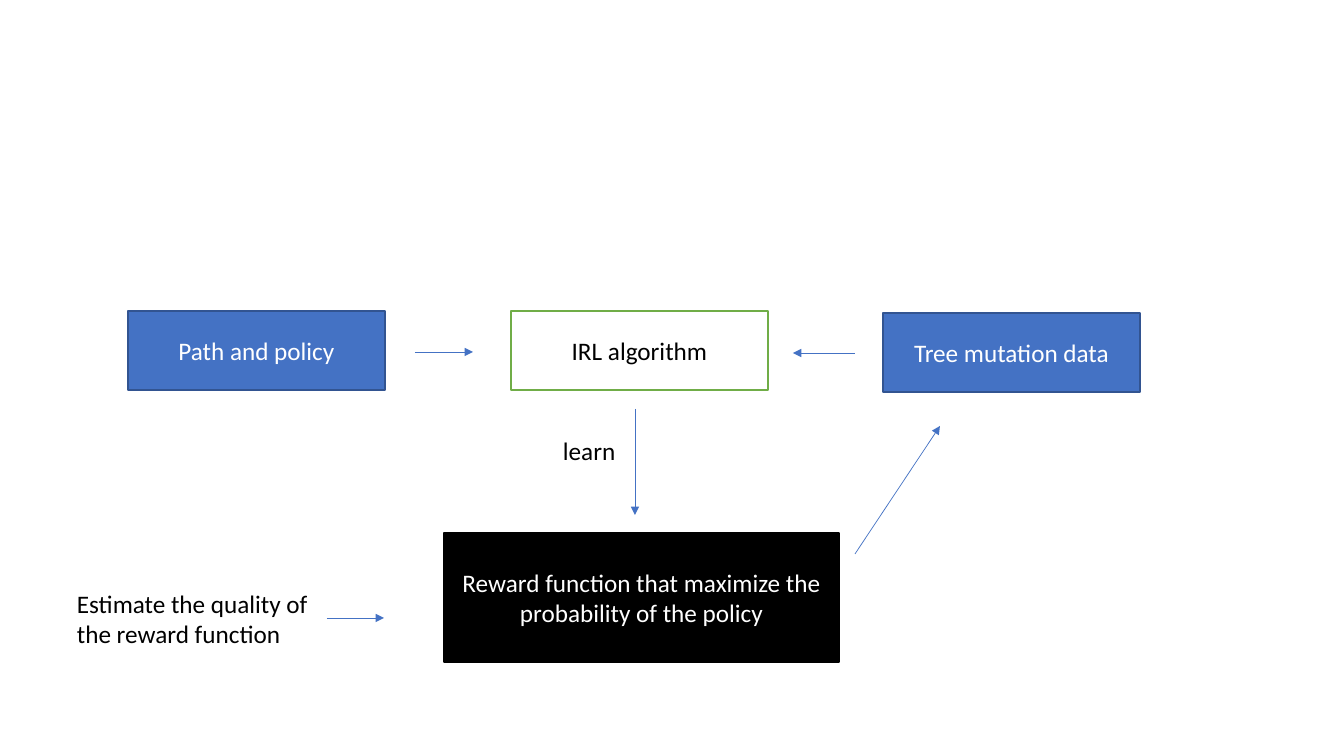
from lxml import etree
from pptx import Presentation
from pptx import util as u
from pptx.dml.color import RGBColor
from pptx.enum import shapes, text
from pptx.oxml.ns import qn

PX = u.Inches(1) / 100.8
COLORS = {"blue": "4472C4", "navy": "325491", "green": "70AD47",
          "white": "FFFFFF", "black": "000000"}


def px(*lengths):
    return [u.Emu(round(n * PX)) for n in lengths]


def write(sp, words, color, align, anchor):
    tf = sp.text_frame
    tf.word_wrap = True
    tf.vertical_anchor = anchor
    p = tf.paragraphs[0]
    p.text = words
    p.alignment = align
    p.font.size = u.Pt(18)
    p.font.name = "Calibri"
    p.font.color.rgb = RGBColor.from_string(COLORS[color])


prs = Presentation()
prs.slide_width, prs.slide_height = px(1344, 756)
s = prs.slides.add_slide(prs.slide_layouts[6])

boxes = [
    ("Path and policy", (128, 311, 257, 79), "blue", "navy", "white"),
    ("IRL algorithm", (511, 311, 257, 79), "white", "green", "black"),
    ("Tree mutation data", (883, 313, 257, 79), "blue", "navy", "white"),
    ("Reward function that maximize the probability of the policy",
     (444, 533, 395, 129), "black", "black", "white"),
]
for words, place, fill, line, color in boxes:
    sp = s.shapes.add_shape(shapes.MSO_SHAPE.RECTANGLE, *px(*place))
    sp.shadow.inherit = False
    sp.fill.solid()
    sp.fill.fore_color.rgb = RGBColor.from_string(COLORS[fill])
    sp.line.color.rgb = RGBColor.from_string(COLORS[line])
    sp.line.width = u.Pt(1)
    write(sp, words, color, text.PP_ALIGN.CENTER, text.MSO_ANCHOR.MIDDLE)

labels = [
    ("Estimate the quality of the reward function", (67, 583, 257, 71)),
    ("learn", (553, 430, 119, 42)),
]
for words, place in labels:
    sp = s.shapes.add_textbox(*px(*place))
    write(sp, words, "black", text.PP_ALIGN.LEFT, text.MSO_ANCHOR.TOP)
    sp.text_frame.auto_size = text.MSO_AUTO_SIZE.SHAPE_TO_FIT_TEXT

arrows = [
    (415, 352, 473, 352),
    (855, 353, 793, 353),
    (635, 409, 635, 515),
    (855, 554, 940, 426),
    (327, 618, 384, 618),
]
for ends in arrows:
    arrow = s.shapes.add_connector(shapes.MSO_CONNECTOR.STRAIGHT, *px(*ends))
    arrow.line.color.rgb = RGBColor.from_string(COLORS["blue"])
    arrow.line.width = u.Pt(0.5)
    etree.SubElement(arrow.line._get_or_add_ln(), qn("a:tailEnd"), type="triangle")
    etree.SubElement(arrow._element.spPr, qn("a:effectLst"))

prs.save("out.pptx")
